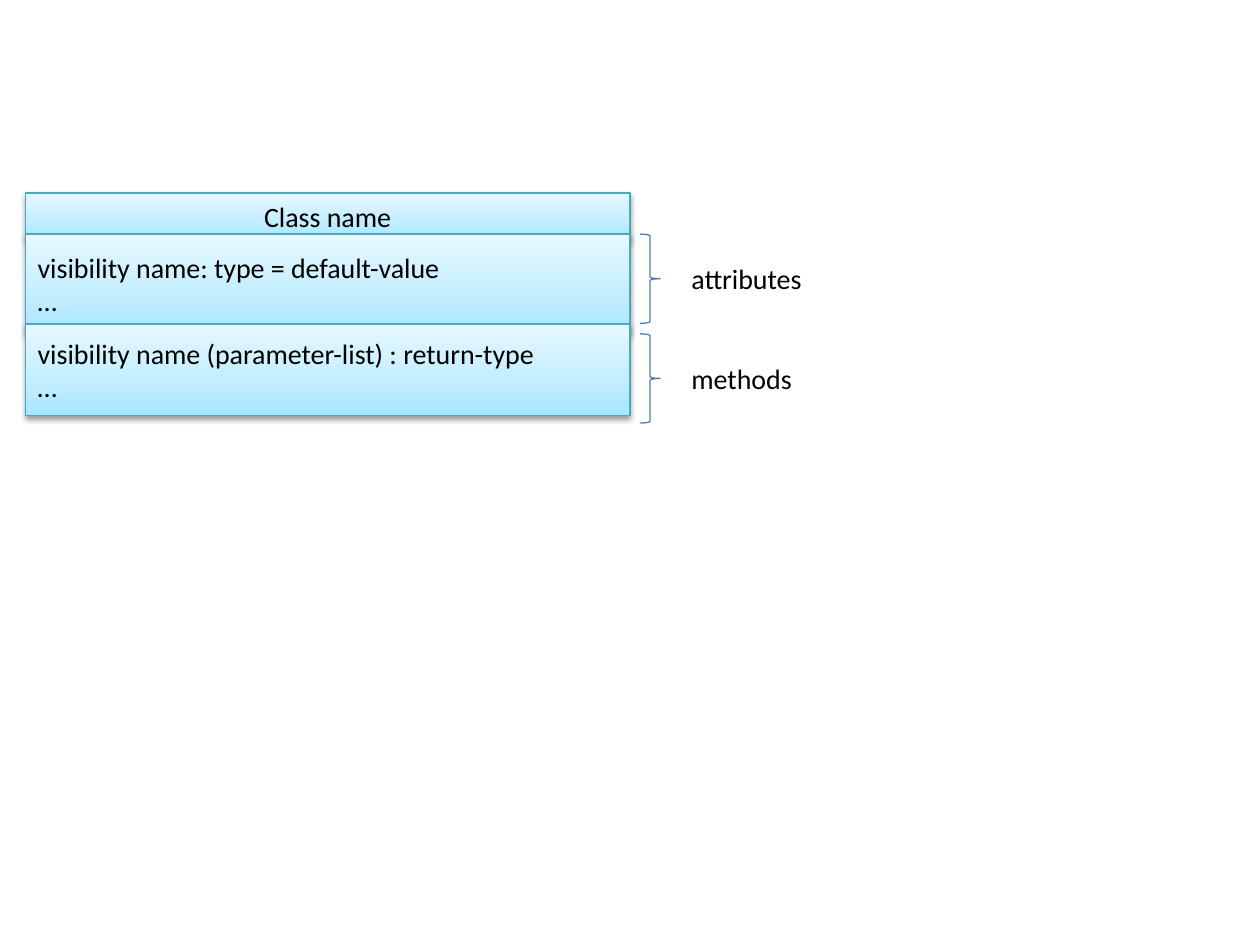
from copy import deepcopy

from lxml import etree
from pptx import Presentation
from pptx.dml.color import RGBColor
from pptx.enum.shapes import MSO_SHAPE
from pptx.enum.text import MSO_ANCHOR, PP_ALIGN
from pptx.oxml.ns import qn
from pptx.util import Cm, Pt

RECTANGLE, RIGHT_BRACE = MSO_SHAPE.RECTANGLE, MSO_SHAPE.RIGHT_BRACE
LEFT, CENTER = PP_ALIGN.LEFT, PP_ALIGN.CENTER
MIDDLE = MSO_ANCHOR.MIDDLE

BLACK = RGBColor(0x00, 0x00, 0x00)
BOX_LINE = RGBColor(0x46, 0xAA, 0xC5)
BRACE_LINE = RGBColor(0x4B, 0x7E, 0xBC)
GRADIENT = [
    (0, RGBColor(0xA7, 0xE6, 0xFF)),
    (0.35, RGBColor(0xC1, 0xED, 0xFF)),
    (1, RGBColor(0xE7, 0xF8, 0xFF)),
]
TEXT_FORMAT = {"name": "Calibri", "size": Pt(16)}

BOX_LEFT, BOX_WIDTH = 0.51, 12.19
BRACE_LEFT, BRACE_WIDTH, BRACE_HEIGHT = 12.9, 0.41, 1.8
LABEL_LEFT, LABEL_WIDTH, LABEL_HEIGHT = 13.69, 3.4, 0.94

# top, height, alignment, lines
COMPARTMENTS = [
    (3.89, 0.94, CENTER, ["Class name"]),
    (4.72, 2.01, LEFT, ["visibility name: type = default-value", "…"]),
    (6.53, 1.85, LEFT, ["visibility name (parameter-list) : return-type", "…"]),
]
# top of the brace, label
BRACES = [(4.72, "attributes"), (6.73, "methods")]


def write_lines(text_frame, lines, alignment=LEFT):
    text_frame.word_wrap = True
    text_frame.text = "\n".join(lines)
    for paragraph in text_frame.paragraphs:
        paragraph.alignment = alignment
        for name, value in TEXT_FORMAT.items():
            setattr(paragraph.font, name, value)
        paragraph.font.color.rgb = BLACK


def add_outlined_shape(slide, kind, box, line_color):
    shape = slide.shapes.add_shape(kind, *map(Cm, box))
    shape.shadow.inherit = False
    shape.line.color.rgb = line_color
    shape.line.width = Pt(0.75)
    return shape


def fill_with_gradient(shape):
    """Shade the shape from the bottom up through the three gradient stops."""
    shape.fill.gradient()
    shape.fill.gradient_angle = 90
    stop_list = shape._element.spPr.find(".//" + qn("a:gsLst"))
    stop_list.append(deepcopy(stop_list[0]))
    for stop, (position, color) in zip(shape.fill.gradient_stops, GRADIENT):
        stop.position = position
        stop.color.rgb = color


def add_soft_shadow(shape):
    effects = shape._element.spPr.find(qn("a:effectLst"))
    shadow = etree.SubElement(
        effects, qn("a:outerShdw"), blurRad=str(Pt(3.1)), dist=str(Pt(1.6)),
        dir="5400000", rotWithShape="0")
    color = etree.SubElement(shadow, qn("a:srgbClr"), val=str(BLACK))
    etree.SubElement(color, qn("a:alpha"), val="38000")


def add_compartment(slide, top, height, alignment, lines):
    box = (BOX_LEFT, top, BOX_WIDTH, height)
    shape = add_outlined_shape(slide, RECTANGLE, box, BOX_LINE)
    fill_with_gradient(shape)
    add_soft_shadow(shape)
    shape.text_frame.vertical_anchor = MIDDLE
    write_lines(shape.text_frame, lines, alignment)


def add_labelled_brace(slide, top, label):
    box = (BRACE_LEFT, top, BRACE_WIDTH, BRACE_HEIGHT)
    brace = add_outlined_shape(slide, RIGHT_BRACE, box, BRACE_LINE)
    brace.fill.background()
    label_top = top + (BRACE_HEIGHT - LABEL_HEIGHT) / 2
    label_box = (LABEL_LEFT, label_top, LABEL_WIDTH, LABEL_HEIGHT)
    text_box = slide.shapes.add_textbox(*map(Cm, label_box))
    write_lines(text_box.text_frame, [label])


def main():
    presentation = Presentation()
    presentation.slide_width, presentation.slide_height = Cm(25.4), Cm(19.05)
    slide = presentation.slides.add_slide(presentation.slide_layouts[6])
    for compartment in COMPARTMENTS:
        add_compartment(slide, *compartment)
    for brace in BRACES:
        add_labelled_brace(slide, *brace)
    presentation.save("out.pptx")


if __name__ == "__main__":
    main()
